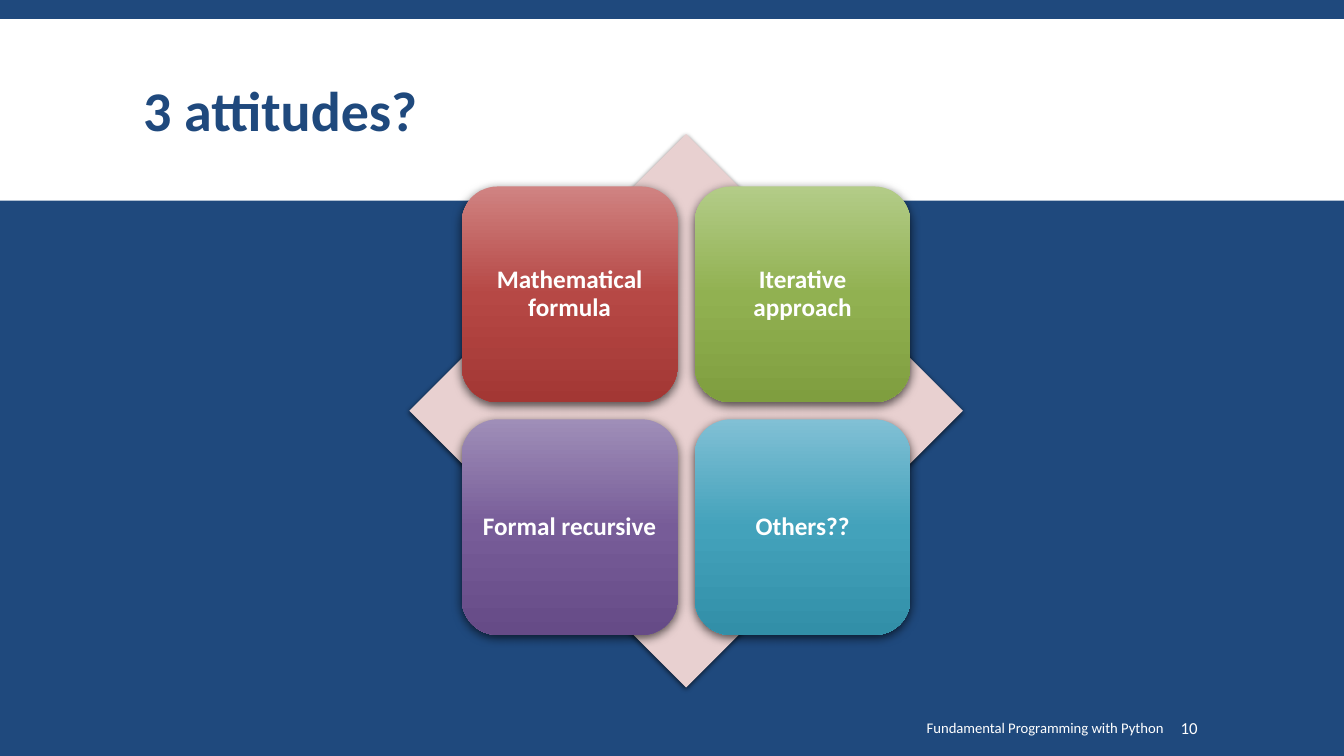
from copy import deepcopy

from lxml.etree import SubElement
from pptx import Presentation
from pptx.dml.color import RGBColor
from pptx.enum.shapes import MSO_SHAPE
from pptx.enum.text import MSO_ANCHOR, PP_ALIGN
from pptx.oxml.ns import qn
from pptx.util import Inches, Pt

NAVY = RGBColor(0x1F, 0x49, 0x7D)
WHITE = RGBColor(0xFF, 0xFF, 0xFF)
BLUSH = RGBColor(0xE8, 0xD0, 0xD0)
RED = [RGBColor(0xD0, 0x83, 0x82), RGBColor(0xB6, 0x48, 0x45), RGBColor(0xA3, 0x37, 0x34)]
GREEN = [RGBColor(0xB3, 0xCC, 0x88), RGBColor(0x91, 0xB1, 0x51), RGBColor(0x7F, 0x9E, 0x3F)]
PURPLE = [RGBColor(0x9F, 0x8E, 0xB8), RGBColor(0x77, 0x5C, 0x98), RGBColor(0x66, 0x4B, 0x87)]
TEAL = [RGBColor(0x81, 0xC0, 0xD5), RGBColor(0x43, 0xA2, 0xBB), RGBColor(0x32, 0x8F, 0xA8)]

APPROACHES = [
    ("Mathematical formula", RED),
    ("Iterative approach", GREEN),
    ("Formal recursive", PURPLE),
    ("Others??", TEAL),
]
TILE_LEFT, TILE_TOP, TILE_SIZE, TILE_STEP = 4.58, 1.85, 2.14, 2.31


class SlideBuilder:
    font_name = "Calibri"

    def __init__(self, presentation):
        self.slide = presentation.slides.add_slide(presentation.slide_layouts[5])
        background = self.slide.background.fill
        background.solid()
        background.fore_color.rgb = NAVY

    def set_text(self, shape, text, size, color, align, bold=False, spacing=1.0, insets=(0.1, 0.05, 0.1, 0.05)):
        frame = shape.text_frame
        frame.word_wrap = True
        frame.vertical_anchor = MSO_ANCHOR.MIDDLE
        frame.margin_left, frame.margin_top, frame.margin_right, frame.margin_bottom = map(Inches, insets)
        paragraph = frame.paragraphs[0]
        paragraph.alignment = align
        paragraph.line_spacing = spacing
        run = paragraph.add_run()
        run.text = text
        run.font.name = self.font_name
        run.font.size = Pt(size)
        run.font.bold = bold
        run.font.color.rgb = color

    def shape(self, kind, left, top, width, height, color=None):
        shape = self.slide.shapes.add_shape(kind, Inches(left), Inches(top), Inches(width), Inches(height))
        shape.line.fill.background()
        shape.shadow.inherit = False
        if color is not None:
            shape.fill.solid()
            shape.fill.fore_color.rgb = color
        return shape

    def cast_shadow(self, shape, blur, distance, opacity):
        effects = shape._element.spPr.find(qn("a:effectLst"))
        shadow = SubElement(effects, qn("a:outerShdw"), blurRad=str(Pt(blur)), dist=str(Pt(distance)),
                            dir="5400000", rotWithShape="0")
        black = SubElement(shadow, qn("a:srgbClr"), val="000000")
        SubElement(black, qn("a:alpha"), val=str(opacity * 1000))

    def title(self, text, left, top, width, height):
        title = self.slide.shapes.title
        title.left, title.top, title.width, title.height = map(Inches, (left, top, width, height))
        self.slide.shapes._spTree.append(title._element)
        self.set_text(title, text, 40, NAVY, PP_ALIGN.LEFT, bold=True, spacing=0.85)

    def tile(self, text, colors, left, top):
        tile = self.shape(MSO_SHAPE.ROUNDED_RECTANGLE, left, top, TILE_SIZE, TILE_SIZE)
        tile.fill.gradient()
        tile.fill.gradient_angle = 270
        stop_list = tile._element.spPr.find(".//" + qn("a:gsLst"))
        stop_list.insert(1, deepcopy(stop_list[0]))
        for stop, position, color in zip(tile.fill.gradient_stops, (0, 0.5, 1), colors):
            stop.position = position
            stop.color.rgb = color
        self.cast_shadow(tile, blur=7, distance=2.2, opacity=63)
        self.set_text(tile, text, 18, WHITE, PP_ALIGN.CENTER, bold=True, spacing=0.9, insets=[0.07] * 4)

    def label(self, text, size, left, width, align, left_inset=0.1):
        box = self.slide.shapes.add_textbox(Inches(left), Inches(7.02), Inches(width), Inches(0.4))
        self.set_text(box, text, size, WHITE, align, insets=(left_inset, 0.05, 0.1, 0.05))


def main():
    presentation = Presentation()
    presentation.slide_width = Inches(13.33)
    presentation.slide_height = Inches(7.5)
    builder = SlideBuilder(presentation)
    builder.shape(MSO_SHAPE.RECTANGLE, 0, 0.19, 13.33, 1.8, WHITE)
    builder.title("3 attitudes?", 1.32, 0.31, 10.7, 1.65)
    diamond = builder.shape(MSO_SHAPE.DIAMOND, 4.06, 1.33, 5.49, 5.49, BLUSH)
    builder.cast_shadow(diamond, blur=4, distance=1.2, opacity=68)
    for index, (text, colors) in enumerate(APPROACHES):
        row, column = divmod(index, 2)
        builder.tile(text, colors, TILE_LEFT + column * TILE_STEP, TILE_TOP + row * TILE_STEP)
    builder.label("Fundamental Programming with Python", 10.5, 6.12, 5.52, PP_ALIGN.RIGHT)
    builder.label("10", 12, 11.66, 1.03, PP_ALIGN.LEFT, left_inset=0.05)
    presentation.save("out.pptx")


if __name__ == "__main__":
    main()
